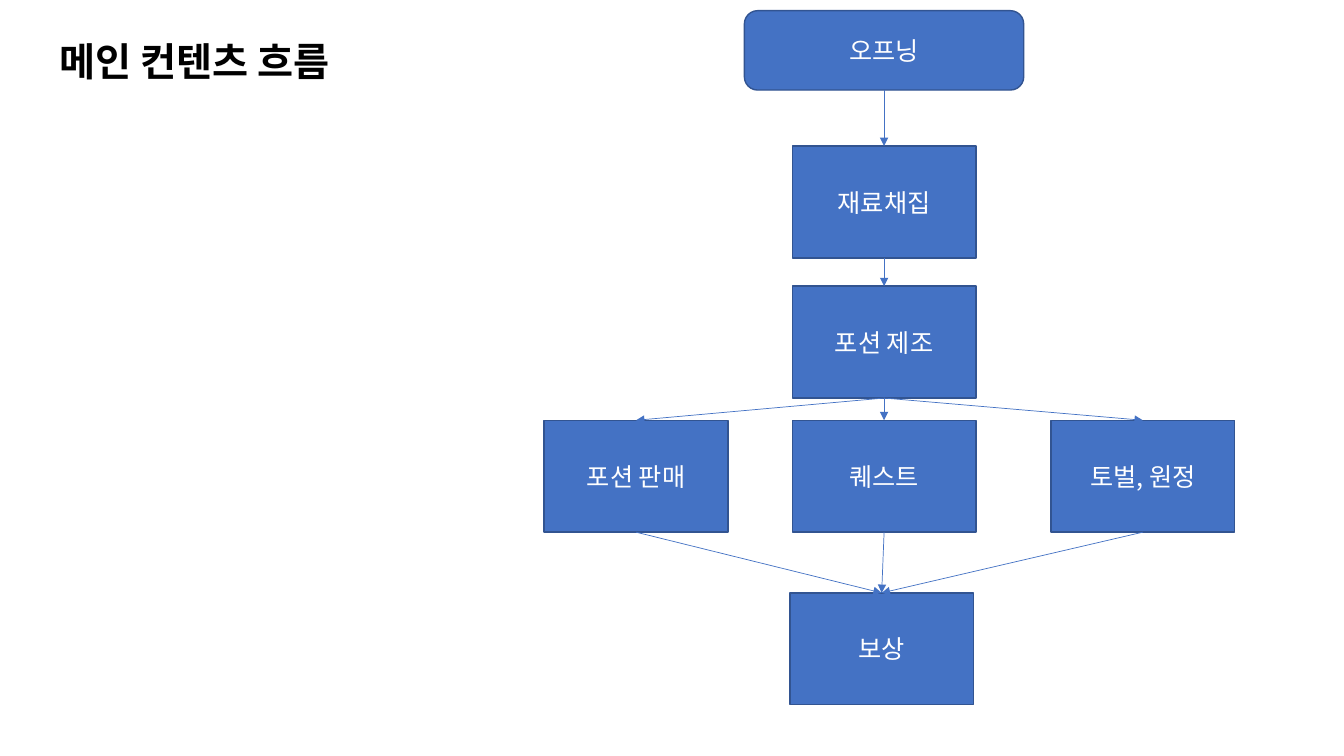
from pptx import Presentation
from pptx.dml.color import RGBColor
from pptx.enum.shapes import MSO_CONNECTOR, MSO_SHAPE
from pptx.enum.text import MSO_ANCHOR, PP_ALIGN
from pptx.oxml.ns import qn
from pptx.util import Cm, Pt
from lxml import etree

RECT, ROUND = MSO_SHAPE.RECTANGLE, MSO_SHAPE.ROUNDED_RECTANGLE
STRAIGHT = MSO_CONNECTOR.STRAIGHT
MIDDLE, CENTER = MSO_ANCHOR.MIDDLE, PP_ALIGN.CENTER
BLUE = RGBColor(0x44, 0x72, 0xC4)
EDGE = RGBColor(0x32, 0x54, 0x91)
WHITE = RGBColor(0xFF, 0xFF, 0xFF)
BLACK = RGBColor(0x00, 0x00, 0x00)
FONT = "Noto Sans CJK KR"

TITLE = "메인 컨텐츠 흐름"
OPEN, GATHER, BREW, REWARD = "오프닝", "재료채집", "포션 제조", "보상"
SELL, QUEST, RAID = PATHS = "포션 판매", "퀘스트", "토벌, 원정"

# Step: centre x and top, in cm
STEPS = {
    OPEN: (22.28, 0.27),
    GATHER: (22.28, 3.68),
    BREW: (22.28, 7.21),
    SELL: (16.03, 10.59),
    QUEST: (22.28, 10.59),
    RAID: (28.8, 10.59),
    REWARD: (22.22, 14.94),
}
FLOW = [(OPEN, GATHER), (GATHER, BREW)]
FLOW += [(BREW, step) for step in PATHS]
FLOW += [(step, REWARD) for step in PATHS]
SIZE, OPEN_SIZE = (4.63, 2.82), (7.04, 2.0)
TOP, BOTTOM = 0, 2  # connection sites


def style(frame, size, color, bold=False):
    for run in frame.paragraphs[0].runs:
        font = run.font
        font.name, font.size, font.bold = FONT, Pt(size), bold
        font.color.rgb = color
        etree.SubElement(font._element, qn("a:ea"), typeface=FONT)


def add_step(slide, text, mid, top):
    wide, high = OPEN_SIZE if text == OPEN else SIZE
    box = slide.shapes.add_shape(ROUND if text == OPEN else RECT,
                                 Cm(mid - wide / 2), Cm(top), Cm(wide), Cm(high))
    box.shadow.inherit = False
    box.fill.solid()
    box.fill.fore_color.rgb = BLUE
    box.line.color.rgb, box.line.width = EDGE, Pt(1)
    frame = box.text_frame
    frame.text = text
    frame.vertical_anchor = MIDDLE
    frame.paragraphs[0].alignment = CENTER
    style(frame, 18, WHITE)
    return box


def add_arrow(slide, start, end):
    arrow = slide.shapes.add_connector(
        STRAIGHT, start.left + start.width // 2, start.top + start.height,
        end.left + end.width // 2, end.top)
    arrow.begin_connect(start, BOTTOM)
    arrow.end_connect(end, TOP)
    arrow.line.color.rgb, arrow.line.width = BLUE, Pt(0.5)
    etree.SubElement(arrow.line._get_or_add_ln(), qn("a:tailEnd"), type="triangle")
    etree.SubElement(arrow._element.spPr, qn("a:effectLst"))


def main():
    deck = Presentation()
    deck.slide_width, deck.slide_height = Cm(33.87), Cm(19.05)
    slide = deck.slides.add_slide(deck.slide_layouts[6])
    boxes = {text: add_step(slide, text, *spot) for text, spot in STEPS.items()}
    for start, end in FLOW:
        add_arrow(slide, boxes[start], boxes[end])
    title = slide.shapes.add_textbox(Cm(1.25), Cm(0.82), Cm(8.81), Cm(1.45)).text_frame
    title.word_wrap = True
    title.text = TITLE
    style(title, 28, BLACK, True)
    deck.save("out.pptx")


if __name__ == "__main__":
    main()
